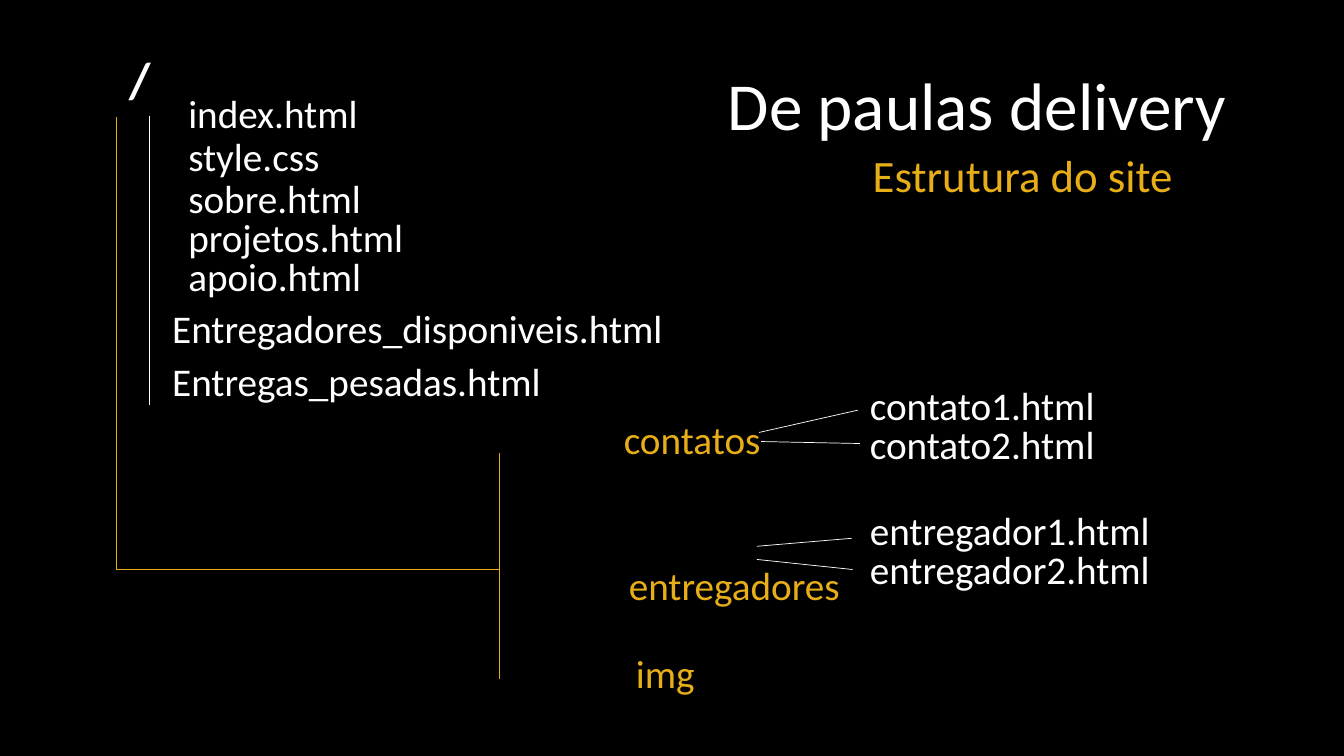
import pptx
import pptx.util
import pptx.dml.color
import pptx.enum.shapes
import pptx.enum.text
from dataclasses import dataclass

Pt = pptx.util.Pt
RGB = pptx.dml.color.RGBColor


@dataclass(frozen=True)
class Theme:
    font: str = "Calibri"
    black: RGB = RGB(0, 0, 0)
    white: RGB = RGB(255, 255, 255)
    amber: RGB = RGB(0xE7, 0xAE, 0x18)
    title: int = 48
    root: int = 36
    subtitle: int = 32
    body: int = 28
    line: float = 0.5


THEME = Theme()

TITLE = ("De paulas delivery", (512.6, 41.8, 419.8, 65.5))
SUBTITLE = ("Estrutura do site", (616.3, 102.2, 280.1, 46))
ROOT = ("/", (85, 31, 56.9, 51.1))

# Text, left, top, width
ROOT_FILES = [
    ("index.html", 127.4, 60.5, 344.2),
    ("style.css", 127.4, 90.7, 344.2),
    ("sobre.html", 127.4, 121, 344.2),
    ("projetos.html", 127.4, 148.5, 344.2),
    ("apoio.html", 127.4, 176.4, 344.2),
    ("Entregadores_disponiveis.html", 115.9, 213.8, 373),
    ("Entregas_pesadas.html", 115.9, 252, 344.2),
]
FOLDERS = [
    ("contatos", 438.5, 293, 118.1),
    ("entregadores", 442.1, 397.4, 169.2),
    ("img", 447.1, 460.1, 101.5),
]
# Top of the first file, then the files of one folder
FOLDER_FILES = [
    (268.6, ["contato1.html", "contato2.html"]),
    (358.4, ["entregador1.html", "entregador2.html"]),
]
FILE_LEFT, FILE_WIDTH, FILE_PITCH = 614.2, 344.2, 27.8
ROW_HEIGHT = 41.2

# Trunk of the folder tree
TRUNK_X, BRANCH_X, TRUNK_END = 82.8, 356.4, 406.8
TREE_LINES = [
    (TRUNK_X, 83.5, TRUNK_X, TRUNK_END),
    (BRANCH_X, 323.3, BRANCH_X, 485.3),
    (TRUNK_X, TRUNK_END, BRANCH_X, TRUNK_END),
]
FILE_LINES = [
    (106.6, 82.8, 106.6, 289.4),
    (612.7, 293, 542.2, 308.9),
    (614.2, 316.8, 543.6, 315.4),
    (609.1, 406.8, 540.7, 399.6),
    (608.4, 384.5, 540.7, 390.2),
]


def write(sp, text, size, color, bold=False):
    tf = sp.text_frame
    tf.word_wrap = True
    tf.auto_size = pptx.enum.text.MSO_AUTO_SIZE.SHAPE_TO_FIT_TEXT
    tf.vertical_anchor = pptx.enum.text.MSO_ANCHOR.TOP
    p = tf.paragraphs[0]
    p.alignment = pptx.enum.text.PP_ALIGN.LEFT
    r = p.add_run()
    r.text = text
    r.font.name = THEME.font
    r.font.size = Pt(size)
    r.font.bold = bold
    r.font.color.rgb = color


def add_label(s, text, box, size, color, bold=False):
    sp = s.shapes.add_textbox(*map(Pt, box))
    write(sp, text, size, color, bold)


def add_line(s, ends, color):
    sp = s.shapes.add_connector(
        pptx.enum.shapes.MSO_CONNECTOR.STRAIGHT, *map(Pt, ends))
    sp.line.color.rgb = color
    sp.line.width = Pt(THEME.line)
    sp._element.spPr.append(pptx.oxml.parse_xml(
        '<a:effectLst xmlns:a='
        '"http://schemas.openxmlformats.org/drawingml/2006/main"/>'))


def main():
    prs = pptx.Presentation()
    prs.slide_width, prs.slide_height = Pt(960), Pt(540)
    s = prs.slides.add_slide(prs.slide_layouts.get_by_name("Title Only"))
    s.background.fill.solid()
    s.background.fill.fore_color.rgb = THEME.black

    text, box = TITLE
    title = s.shapes.title
    title.left, title.top, title.width, title.height = map(Pt, box)
    write(title, text, THEME.title, THEME.white)
    add_label(s, *SUBTITLE, THEME.subtitle, THEME.amber)
    add_label(s, *ROOT, THEME.root, THEME.white, bold=True)

    for rows, color in ((ROOT_FILES, THEME.white), (FOLDERS, THEME.amber)):
        for text, left, top, width in rows:
            add_label(s, text, (left, top, width, ROW_HEIGHT), THEME.body, color)
    for first_top, names in FOLDER_FILES:
        for i, name in enumerate(names):
            box = (FILE_LEFT, first_top + i * FILE_PITCH, FILE_WIDTH, ROW_HEIGHT)
            add_label(s, name, box, THEME.body, THEME.white)

    for lines, color in ((TREE_LINES, THEME.amber), (FILE_LINES, THEME.white)):
        for ends in lines:
            add_line(s, ends, color)

    prs.save("out.pptx")


if __name__ == "__main__":
    main()
